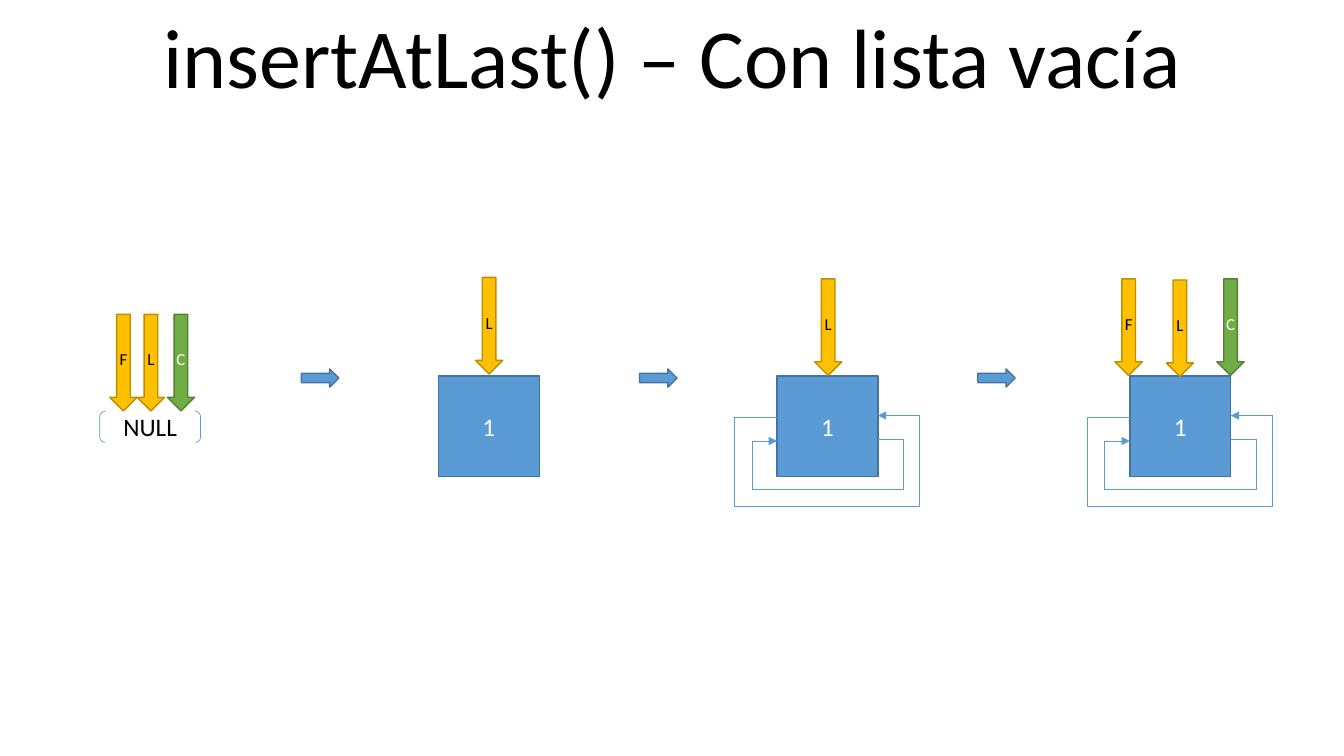
"""Build the slide that shows insertAtLast() on an empty circular list."""
from lxml.etree import SubElement
from pptx import Presentation
from pptx.dml.color import RGBColor
from pptx.enum.shapes import MSO_CONNECTOR as CONNECTOR, MSO_SHAPE as SHAPE
from pptx.enum.text import MSO_ANCHOR as ANCHOR, MSO_AUTO_SIZE as AUTO_SIZE, PP_ALIGN as ALIGN
from pptx.oxml.ns import qn
from pptx.util import Pt

BLACK = RGBColor(0x00, 0x00, 0x00)
WHITE = RGBColor(0xFF, 0xFF, 0xFF)
BLUE = RGBColor(0x5B, 0x9B, 0xD5)
DARK_BLUE = RGBColor(0x43, 0x73, 0x9E)
GOLD = RGBColor(0xFF, 0xC0, 0x00)
DARK_GOLD = RGBColor(0xBD, 0x8E, 0x00)
GREEN = RGBColor(0x70, 0xAD, 0x47)
DARK_GREEN = RGBColor(0x53, 0x80, 0x35)

POINTER_COLORS = {
    "F": (GOLD, DARK_GOLD, BLACK),
    "L": (GOLD, DARK_GOLD, BLACK),
    "C": (GREEN, DARK_GREEN, WHITE),
}
POINTER_WIDTH, POINTER_HEIGHT = 19.5, 69
NODE_SIZE, NODE_TOP = 72, 268.6
STEP_LEFT, STEP_PITCH = 215.2, 241.6


def write(shape, text, size, color):
    """Put one centred line of text in a shape."""
    paragraph = shape.text_frame.paragraphs[0]
    paragraph.text = text
    paragraph.alignment = ALIGN.CENTER
    font_format = {"name": "Calibri", "size": Pt(size)}
    for name, value in font_format.items():
        setattr(paragraph.font, name, value)
    paragraph.font.color.rgb = color


def add_box(kind, left, top, width, height, fill, line, line_width=1):
    """Add a preset shape with its fill, outline and frame settings."""
    shape = slide.shapes.add_shape(kind, Pt(left), Pt(top), Pt(width), Pt(height))
    shape.shadow.inherit = False
    if fill is None:
        shape.fill.background()
    else:
        shape.fill.solid()
        shape.fill.fore_color.rgb = fill
    shape.line.color.rgb = line
    shape.line.width = Pt(line_width)
    frame_format = {
        "margin_left": 0, "margin_right": 0, "margin_top": 0, "margin_bottom": 0,
        "vertical_anchor": ANCHOR.MIDDLE, "word_wrap": False,
    }
    for name, value in frame_format.items():
        setattr(shape.text_frame, name, value)
    return shape


presentation = Presentation()
presentation.slide_width, presentation.slide_height = Pt(960), Pt(540)
slide = presentation.slides.add_slide(presentation.slide_layouts[6])

title = slide.shapes.add_textbox(Pt(0.7), Pt(0), Pt(959), Pt(80))
title.text_frame.word_wrap = True
title.text_frame.auto_size = AUTO_SIZE.SHAPE_TO_FIT_TEXT
write(title, "insertAtLast() – Con lista vacía", 60, BLACK)

null_bracket = add_box(SHAPE.DOUBLE_BRACKET, 71.3, 293.8, 72, 22.2, None, BLUE, 0.5)
write(null_bracket, "NULL", 18, BLACK)

nodes = [(313.2, False), (555.1, True), (807.1, True)]
for left, is_circular in nodes:
    node = add_box(SHAPE.RECTANGLE, left, NODE_TOP, NODE_SIZE, NODE_SIZE, BLUE, DARK_BLUE)
    write(node, "1", 18, WHITE)
    if not is_circular:
        continue
    loops = [
        (314, 0, (-25000, 3600000, 125000)),
        (296.8, 180, (-42400, -6424000, 141500)),
    ]
    for top, turn, adjustments in loops:
        loop = slide.shapes.add_connector(
            CONNECTOR.ELBOW, Pt(left + NODE_SIZE), Pt(top), Pt(left), Pt(top + 1))
        loop.line.color.rgb = BLUE
        loop.line.width = Pt(0.5)
        properties = loop._element.spPr
        properties.find(qn("a:xfrm")).set("rot", str(turn * 60000))
        geometry = properties.find(qn("a:prstGeom"))
        geometry.set("prst", "bentConnector5")
        guides = geometry.find(qn("a:avLst"))
        for number, value in enumerate(adjustments, 1):
            SubElement(guides, qn("a:gd"), name=f"adj{number}", fmla=f"val {value}")
        SubElement(properties.find(qn("a:ln")), qn("a:tailEnd"), type="triangle")
        SubElement(properties, qn("a:effectLst"))

pointers = [
    ("F", 88.2, 224.6), ("L", 107.8, 224.6), ("C", 129.3, 224.6),
    ("L", 349.4, 198.2),
    ("L", 591.6, 199.2),
    ("F", 806.2, 199.2), ("L", 842.8, 200), ("C", 879, 199.2),
]
for label, center, top in pointers:
    fill, line, text_color = POINTER_COLORS[label]
    pointer = add_box(SHAPE.DOWN_ARROW, center - POINTER_WIDTH / 2, top,
                      POINTER_WIDTH, POINTER_HEIGHT, fill, line)
    write(pointer, label, 12, text_color)

for step in range(3):
    add_box(SHAPE.RIGHT_ARROW, STEP_LEFT + step * STEP_PITCH, 263.5, 26.8, 13, BLUE, DARK_BLUE)

presentation.save("out.pptx")
